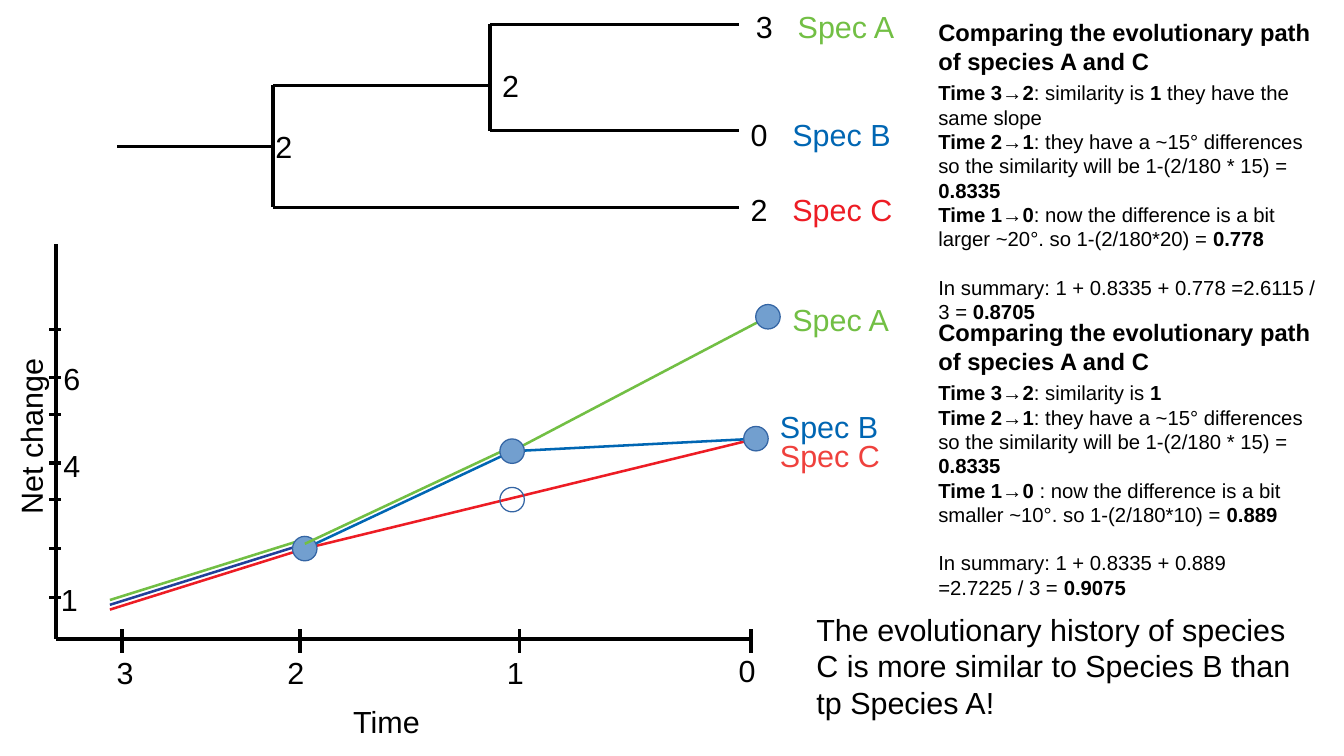
from itertools import pairwise

from lxml import etree
from pptx import Presentation
from pptx.dml.color import RGBColor
from pptx.enum.shapes import MSO_CONNECTOR, MSO_SHAPE
from pptx.oxml.ns import qn
from pptx.util import Cm, Pt

BLACK, GREEN, BLUE, RED = "000000", "72BF44", "0066B3", "ED1C24"
SPECIES = [("Spec A", GREEN), ("Spec B", BLUE), ("Spec C", RED)]
HEADING = "Comparing the evolutionary path of species A and C"
MIDDLE_STEP = [
    ("Time 2→1", True),
    (": they have a ~15° differences so the similarity will be 1-(2/180 * 15) = ", False),
    ("0.8335", True),
]
VERSUS_A = [
    [("Time 3→2", True), (": similarity is ", False), ("1", True),
     (" they have the same slope", False)],
    MIDDLE_STEP,
    [("Time 1→0", True),
     (": now the difference is a bit larger ~20°. so 1-(2/180*20) = ", False), ("0.778", True)],
    [("In summary: 1 + 0.8335 + 0.778 =2.6115 / 3 = ", False), ("0.8705", True)],
]
VERSUS_B = [
    [("Time 3→2", True), (": similarity is ", False), ("1", True)],
    MIDDLE_STEP,
    [("Time 1→0", True),
     (" : now the difference is a bit smaller ~10°. so 1-(2/180*10) = ", False), ("0.889", True)],
    [("In summary: 1 + 0.8335 + 0.889 =2.7225 / 3 = ", False), ("0.9075", True)],
]


def rgb(color):
    return RGBColor.from_string(color)


def add_line(shapes, x1, y1, x2, y2, color=BLACK, width=0):
    sp = shapes.add_connector(MSO_CONNECTOR.STRAIGHT, Cm(x1), Cm(y1), Cm(x2), Cm(y2))
    sp.line.color.rgb = rgb(color)
    sp.line.width = Pt(width)
    etree.SubElement(sp._element.spPr, qn("a:effectLst"))


def add_text(slide, x, y, w, h, paragraphs, size=18, color=BLACK):
    sp = slide.shapes.add_textbox(Cm(x), Cm(y), Cm(w), Cm(h))
    tf = sp.text_frame
    tf.word_wrap = True
    for i, runs in enumerate(paragraphs):
        p = tf.paragraphs[0] if i == 0 else tf.add_paragraph()
        for text, bold in runs:
            r = p.add_run()
            r.text = text
            r.font.name = "Arial"
            r.font.size = Pt(size)
            r.font.bold = bold
            r.font.color.rgb = rgb(color)
    return sp


def add_label(slide, x, y, text, color=BLACK, w=2.5):
    return add_text(slide, x, y, w, 0.97, [[(text, False)]], color=color)


def add_dot(slide, x, y, filled=True, size=0.51):
    sp = slide.shapes.add_shape(
        MSO_SHAPE.OVAL, Cm(x - size / 2), Cm(y - size / 2), Cm(size), Cm(size))
    sp.shadow.inherit = False
    if filled:
        sp.fill.solid()
        sp.fill.fore_color.rgb = rgb("729FCF")
    else:
        sp.fill.background()
    sp.line.color.rgb = rgb("3465A4")
    sp.line.width = Pt(0)


def add_tree(slide, left, top, width, height):
    root, inner = 3.25, 7.77
    upper, tip_b = 1.27, 2.21
    branches = [
        (0, 2.54, root, 2.54), (root, upper, root, height),
        (root, upper, inner, upper), (root, height, width, height),
        (inner, 0, inner, tip_b), (inner, 0, width, 0), (inner, tip_b, width, tip_b),
    ]
    group = slide.shapes.add_group_shape()
    for x1, y1, x2, y2 in branches:
        add_line(group.shapes, left + x1, top + y1, left + x2, top + y2)
    for x, y in [(root - 0.2, 2.03), (inner, 0.76)]:
        add_label(slide, left + x, top + y, "2", w=1.78)
    tips = [("3", 0.11, -0.46), ("0", 0, 1.78), ("2", 0, 3.35)]
    for (value, dx, y), (name, color) in zip(tips, SPECIES):
        x = left + width + dx
        add_label(slide, x, top + y, value, w=1.78)
        add_label(slide, x + 0.87, top + y, name, color, 3.3)


def add_net_change_plot(slide, left, top, width, height):
    def path(points, color):
        for (x1, y1), (x2, y2) in pairwise(points):
            add_line(slide.shapes, left + x1, top + y1, left + x2, top + y2, color, 1.5)

    bottom = top + height
    add_line(slide.shapes, left + width, bottom, left, bottom)
    add_line(slide.shapes, left, bottom, left, top)
    add_label(slide, left + 5.94, bottom + 1.22, "Time", w=5.33)
    title = add_text(slide, left - 2.52, top + 2.01, 5.36, 2.39, [[("Net change", False)]])
    title.rotation = 270

    for text, x, dx, dy in [("3", 1.37, -0.36, 0.2), ("2", 5.08, -0.51, 0.2),
                            ("1", 9.65, -0.51, 0.2), ("0", width, -0.51, 0.15)]:
        add_line(slide.shapes, left + x, bottom - 0.2, left + x, bottom + 0.3)
        add_label(slide, left + x + dx, bottom + dy, text, w=2.29)
    for y in (7.37, 6.35, 5.33, 4.57, 3.56, 2.79, 1.78):
        add_line(slide.shapes, left + 0.1, top + y, left - 0.15, top + y)
    for text, x, y in [("1", -0.15, 6.91), ("4", -0.1, 4.11), ("6", -0.1, 2.29)]:
        add_label(slide, left + x, top + y, text, w=1.02)

    time_3, time_2, time_1 = 1.12, 5.18, 9.5
    split, fork = (time_2, 6.35), (time_1, 4.32)
    end_a, end_bc = (14.83, 1.52), (14.58, 4.06)
    path([(time_3, 7.62), split, end_bc], RED)
    path([split, fork, end_bc], BLUE)
    path([fork, end_a], GREEN)
    path([(time_3, 7.52), (time_2, 6.25)], "21409A")
    path([(time_3, 7.42), (time_2, 6.15)], GREEN)
    add_dot(slide, left + split[0], top + split[1])
    path([(time_2, 6.25), (time_1, 4.22)], GREEN)
    for x, y in (fork, end_a, end_bc):
        add_dot(slide, left + x, top + y)
    add_dot(slide, left + time_1, top + 5.33, filled=False)

    for name, color, x, y in [("Spec A", GREEN, 15.09, 1.07), ("Spec B", BLUE, 14.83, 3.3),
                              ("Spec C", "EF413D", 14.83, 3.91)]:
        add_label(slide, left + x, top + y, name, color, 3.3)


def add_comparison(slide, left, top, width, height, steps):
    offset = 1.3
    add_text(slide, left, top, width, offset, [[(HEADING, True)]], 14)
    sp = add_text(slide, left, top + offset, width, height - offset, steps, 12)
    sp.text_frame.paragraphs[-1].space_before = Pt(14)


def main():
    prs = Presentation()
    prs.slide_width, prs.slide_height = Cm(28), Cm(15.75)
    slide = prs.slides.add_slide(prs.slide_layouts[6])
    add_net_change_plot(slide, 1.17, 5.08, 14.48, 8.23)
    add_tree(slide, 2.44, 0.51, 12.95, 3.81)
    add_comparison(slide, 19.3, 0.25, 8.38, 6.8, VERSUS_A)
    add_comparison(slide, 19.3, 6.5, 8.38, 6.3, VERSUS_B)
    conclusion = ("The evolutionary history of species C is more similar "
                  "to Species B than tp Species A!")
    add_text(slide, 16.76, 12.6, 10.67, 2.39, [[(conclusion, False)]])
    prs.save("out.pptx")


if __name__ == "__main__":
    main()
